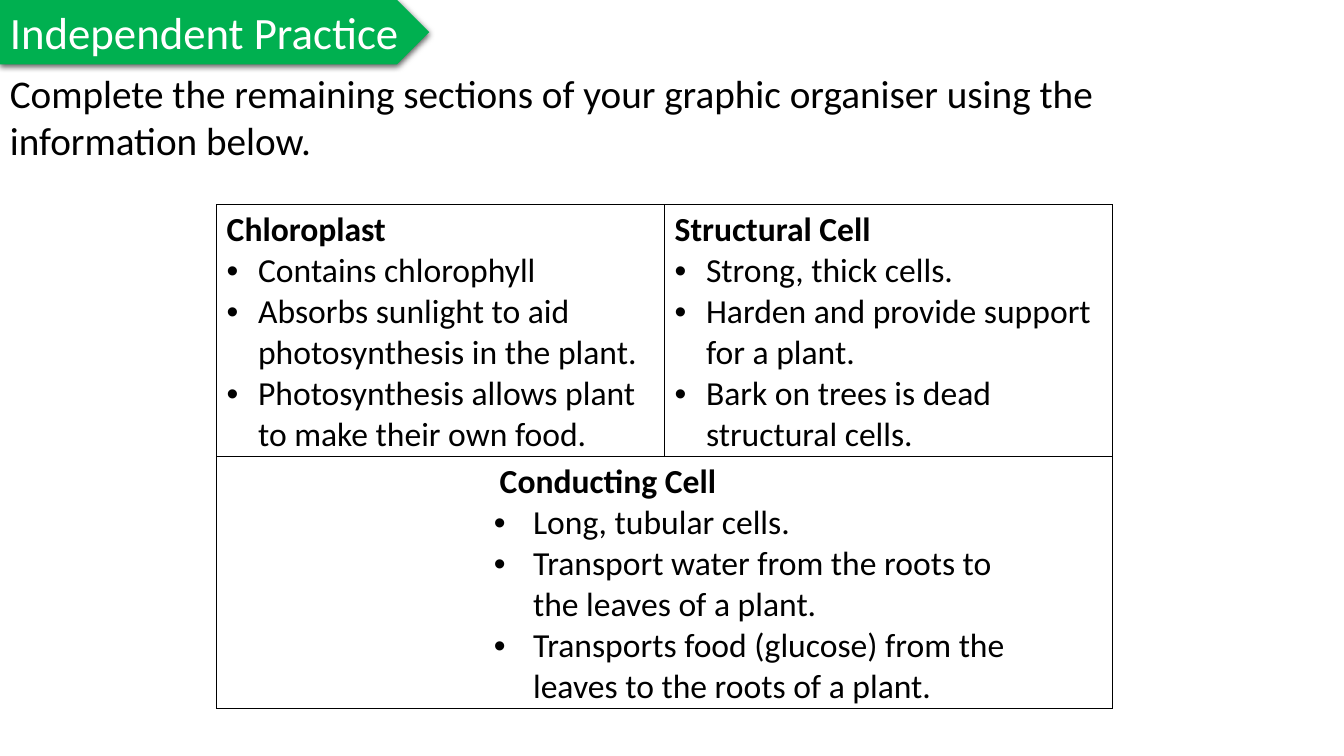
from dataclasses import dataclass

from lxml.etree import SubElement
from pptx import Presentation
from pptx.dml.color import RGBColor
from pptx.enum.shapes import MSO_SHAPE as Preset
from pptx.enum.text import MSO_ANCHOR as Anchor, MSO_AUTO_SIZE as AutoSize, PP_ALIGN as Align
from pptx.oxml.ns import qn
from pptx.util import Cm, Length, Pt


@dataclass(frozen=True)
class Theme:
    font: str = "Calibri"
    banner: RGBColor = RGBColor(0x00, 0xB0, 0x50)
    light: RGBColor = RGBColor(0xFF, 0xFF, 0xFF)
    ink: RGBColor = RGBColor(0x00, 0x00, 0x00)
    title: Length = Pt(32)
    task: Length = Pt(28)
    body: Length = Pt(24)
    border: Length = Pt(1)


@dataclass(frozen=True)
class Topic:
    row: int
    column: int
    heading: str
    facts: tuple[str, ...]
    heading_indent: Length = Cm(0)
    fact_indent: Length = Cm(0.79)
    hanging: Length = Cm(0.79)


THEME = Theme()

TOPICS = (
    Topic(0, 0, "Chloroplast", (
        "Contains chlorophyll",
        "Absorbs sunlight to aid photosynthesis in the plant.",
        "Photosynthesis allows plant to make their own food.",
    )),
    Topic(0, 1, "Structural Cell", (
        "Strong, thick cells.",
        "Harden and provide support for a plant.",
        "Bark on trees is dead structural cells.",
    )),
    Topic(1, 0, "Conducting Cell", (
        "Long, tubular cells.",
        "Transport water from the roots to\vthe leaves of a plant.",
        "Transports food (glucose) from the\vleaves to the roots of a plant.",
    ), heading_indent=Cm(6.88), fact_indent=Cm(7.72), hanging=Cm(0.99)),
)


def style_runs(paragraph, size: Length, color: RGBColor, bold: bool = False) -> None:
    paragraph.alignment = Align.LEFT
    for run in paragraph.runs:
        run.font.name = THEME.font
        run.font.size = size
        run.font.bold = bold
        run.font.color.rgb = color


def add_shadow(shape) -> None:
    shape.shadow.inherit = False
    effects = shape._element.spPr.find(qn("a:effectLst"))
    shadow = SubElement(effects, qn("a:outerShdw"), blurRad=str(Pt(4.5)),
                        dist=str(Pt(1.5)), dir="5400000", rotWithShape="0")
    black = SubElement(shadow, qn("a:srgbClr"), val=str(THEME.ink))
    SubElement(black, qn("a:alpha"), val="63000")


def add_banner(slide, title: str) -> None:
    banner = slide.shapes.add_shape(Preset.PENTAGON, Cm(0), Cm(0), Cm(10.82), Cm(1.62))
    banner.fill.solid()
    banner.fill.fore_color.rgb = THEME.banner
    banner.line.fill.background()
    add_shadow(banner)
    frame = banner.text_frame
    frame.text = title
    frame.word_wrap = False
    frame.auto_size = AutoSize.SHAPE_TO_FIT_TEXT
    frame.vertical_anchor = Anchor.TOP
    style_runs(frame.paragraphs[0], THEME.title, THEME.light)


def add_task(slide, task: str) -> None:
    frame = slide.shapes.add_textbox(Cm(0), Cm(1.62), Cm(30.68), Cm(2.65)).text_frame
    frame.text = task
    frame.word_wrap = True
    frame.auto_size = AutoSize.SHAPE_TO_FIT_TEXT
    style_runs(frame.paragraphs[0], THEME.task, THEME.ink)


def set_indent(paragraph, left: Length, hanging: Length = Cm(0)) -> None:
    properties = paragraph._p.get_or_add_pPr()
    properties.set("marL", str(left))
    properties.set("indent", str(-hanging))


def add_bullet(paragraph) -> None:
    properties = paragraph._p.get_or_add_pPr()
    SubElement(properties, qn("a:buFont"), typeface="Arial")
    SubElement(properties, qn("a:buChar"), char="•")


def outline_cell(cell) -> None:
    properties = cell._tc.get_or_add_tcPr()
    for side in ("L", "R", "T", "B"):
        line = SubElement(properties, qn(f"a:ln{side}"), w=str(THEME.border))
        fill = SubElement(line, qn("a:solidFill"))
        SubElement(fill, qn("a:srgbClr"), val=str(THEME.ink))
    cell.fill.background()


def write_topic(cell, topic: Topic) -> None:
    frame = cell.text_frame
    heading = frame.paragraphs[0]
    heading.text = topic.heading
    set_indent(heading, topic.heading_indent)
    style_runs(heading, THEME.body, THEME.ink, bold=True)
    for fact in topic.facts:
        point = frame.add_paragraph()
        point.text = fact
        set_indent(point, topic.fact_indent, topic.hanging)
        add_bullet(point)
        style_runs(point, THEME.body, THEME.ink)


def add_organiser(slide, topics: tuple[Topic, ...]) -> None:
    organiser = slide.shapes.add_table(2, 2, Cm(5.46), Cm(5.16), Cm(22.58), Cm(12.7)).table
    organiser.first_row = False
    organiser.horz_banding = False
    for cell in organiser.iter_cells():
        outline_cell(cell)
    organiser.cell(1, 0).merge(organiser.cell(1, 1))
    for topic in topics:
        write_topic(organiser.cell(topic.row, topic.column), topic)


def main() -> None:
    deck = Presentation()
    deck.slide_width, deck.slide_height = Cm(33.87), Cm(19.05)
    slide = deck.slides.add_slide(deck.slide_layouts[6])

    # Title banner and instruction
    add_banner(slide, "Independent Practice")
    add_task(slide, "Complete the remaining sections of your graphic organiser "
                    "using the information below.")

    # Graphic organiser
    add_organiser(slide, TOPICS)

    deck.save("out.pptx")


if __name__ == "__main__":
    main()
